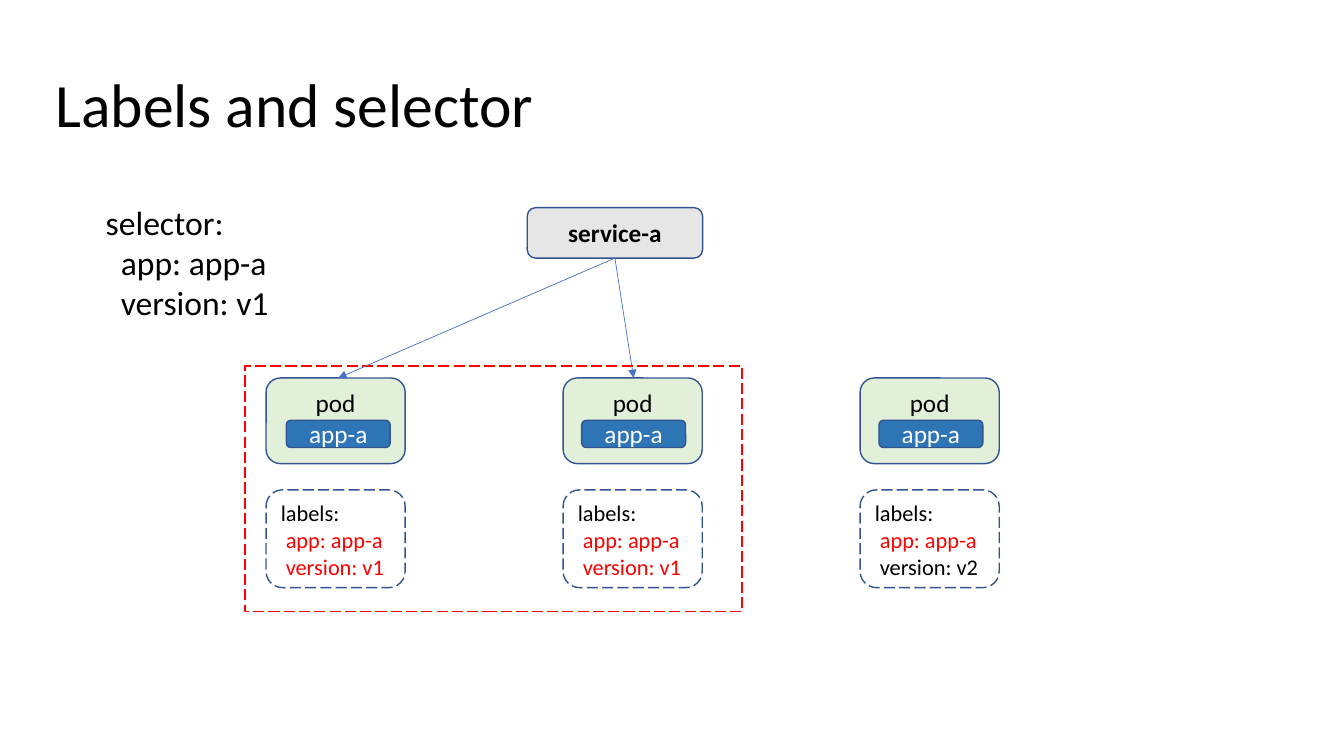
"""Build the slide on how a service selects pods by their labels."""
from dataclasses import dataclass
from typing import Any, Optional

import pptx
import pptx.dml.color
import pptx.enum.dml
import pptx.enum.shapes
import pptx.enum.text
import pptx.util
from lxml import etree

SHAPE = pptx.enum.shapes.MSO_SHAPE
ANCHOR = pptx.enum.text.MSO_ANCHOR
ALIGN = pptx.enum.text.PP_ALIGN
WIDTH = pptx.util.Inches(13.33)
HEIGHT = pptx.util.Inches(7.5)


@dataclass(frozen=True)
class Theme:
    font: str = "Calibri"
    ink: str = "000000"
    paper: str = "FFFFFF"
    match: str = "FF0000"
    outline: str = "325491"
    arrow: str = "4472C4"
    pod: str = "E2F0D9"
    app: str = "2E75B6"
    service: str = "E7E6E6"
    title_size: float = 44
    selector_size: float = 24
    box_size: float = 18
    label_size: float = 16
    outline_width: float = 1
    arrow_width: float = 0.5


@dataclass(frozen=True)
class Area:
    """Position and size in percent of the slide."""
    left: float
    top: float
    width: float
    height: float

    @property
    def center(self) -> float:
        return self.left + self.width / 2

    @property
    def bottom(self) -> float:
        return self.top + self.height

    def emu(self) -> tuple[int, int, int, int]:
        return across(self.left), down(self.top), across(self.width), down(self.height)


@dataclass(frozen=True)
class Line:
    text: str
    size: float
    color: str
    bold: bool = False
    align: Any = ALIGN.LEFT
    indent: float = 0
    spacing: Optional[float] = None


@dataclass(frozen=True)
class Pod:
    version: str
    app_inset: float
    selected: bool


THEME = Theme()
PODS = [Pod("v1", 1.5, True), Pod("v1", 1.38, True), Pod("v2", 1.4, False)]
POD_LEFT, POD_STEP, POD_WIDTH = 19.8, 22.1, 10.35
TITLE = Area(3.38, 8.67, 93.17, 11.2)
SELECTOR = Area(7.13, 26, 18, 17.47)
SELECTION = Area(18.23, 48.4, 36.98, 32.53)
SERVICE = Area(39.23, 27.47, 13.05, 6.67)


def across(percent: float) -> int:
    return round(WIDTH * percent / 100)


def down(percent: float) -> int:
    return round(HEIGHT * percent / 100)


def rgb(color: str) -> pptx.dml.color.RGBColor:
    return pptx.dml.color.RGBColor.from_string(color)


def write(frame: Any, lines: list[Line], anchor: Any) -> None:
    frame.word_wrap = True
    frame.vertical_anchor = anchor
    for position, line in enumerate(lines):
        paragraph = frame.paragraphs[0] if position == 0 else frame.add_paragraph()
        paragraph.text = line.text
        paragraph.alignment = line.align
        paragraph.line_spacing = line.spacing
        paragraph.font.name = THEME.font
        paragraph.font.size = pptx.util.Pt(line.size)
        paragraph.font.bold = line.bold
        paragraph.font.color.rgb = rgb(line.color)
        if line.indent:
            paragraph._p.get_or_add_pPr().set("marL", str(pptx.util.Pt(line.indent)))


def add_text(shapes: Any, area: Area, lines: list[Line], anchor: Any = ANCHOR.TOP) -> None:
    write(shapes.add_textbox(*area.emu()).text_frame, lines, anchor)


def add_box(shapes: Any, area: Area, lines: list[Line], fill: Optional[str] = None,
            anchor: Any = ANCHOR.MIDDLE, preset: Any = SHAPE.ROUNDED_RECTANGLE,
            outline: str = THEME.outline) -> None:
    box = shapes.add_shape(preset, *area.emu())
    box.shadow.inherit = False
    box.line.color.rgb = rgb(outline)
    box.line.width = pptx.util.Pt(THEME.outline_width)
    if fill:
        box.fill.solid()
        box.fill.fore_color.rgb = rgb(fill)
    else:
        box.fill.background()
        box.line.dash_style = pptx.enum.dml.MSO_LINE.LONG_DASH
    write(box.text_frame, lines, anchor)


def add_arrow(shapes: Any, source: Area, target_x: float, target_y: float) -> None:
    arrow = shapes.add_connector(
        pptx.enum.shapes.MSO_CONNECTOR.STRAIGHT,
        across(source.center), down(source.bottom), across(target_x), down(target_y))
    arrow.line.color.rgb = rgb(THEME.arrow)
    arrow.line.width = pptx.util.Pt(THEME.arrow_width)
    namespace = "{http://schemas.openxmlformats.org/drawingml/2006/main}"
    etree.SubElement(arrow.line._get_or_add_ln(), namespace + "tailEnd", type="triangle")
    etree.SubElement(arrow._element.spPr, namespace + "effectLst")


def centered(text: str, color: str, bold: bool = False) -> list[Line]:
    return [Line(text, THEME.box_size, color, bold, ALIGN.CENTER)]


def main() -> None:
    deck = pptx.Presentation()
    deck.slide_width, deck.slide_height = WIDTH, HEIGHT
    shapes = deck.slides.add_slide(deck.slide_layouts[6]).shapes

    add_text(shapes, TITLE, [Line("Labels and selector", THEME.title_size, THEME.ink,
                                  spacing=0.9)], ANCHOR.MIDDLE)

    pod_areas = [Area(POD_LEFT + column * POD_STEP, 50, POD_WIDTH, 11.33)
                 for column in range(len(PODS))]
    app_areas = [Area(area.left + pod.app_inset, 55.6, 7.73, 3.6)
                 for pod, area in zip(PODS, pod_areas)]
    for pod_area, app_area in zip(pod_areas, app_areas):
        members = shapes.add_group_shape().shapes
        add_box(members, pod_area, centered("pod", THEME.ink), THEME.pod, ANCHOR.TOP)
        add_box(members, app_area, centered("app-a", THEME.paper), THEME.app)

    for pod, area in zip(PODS, pod_areas):
        version_color = THEME.match if pod.selected else THEME.ink
        add_box(shapes, Area(area.left, 64.8, POD_WIDTH, 12.93), [
            Line("labels:", THEME.label_size, THEME.ink),
            Line("app: app-a", THEME.label_size, THEME.match, indent=3.6),
            Line(f"version: {pod.version}", THEME.label_size, version_color, indent=3.6),
        ], anchor=ANCHOR.TOP)

    add_text(shapes, SELECTOR, [
        Line("selector:", THEME.selector_size, THEME.ink),
        Line("app: app-a", THEME.selector_size, THEME.ink, indent=10.8),
        Line("version: v1", THEME.selector_size, THEME.ink, indent=10.8),
    ])
    add_box(shapes, SELECTION, [], preset=SHAPE.RECTANGLE, outline=THEME.match)
    add_box(shapes, SERVICE, centered("service-a", THEME.ink, bold=True), THEME.service)

    for pod, pod_area, app_area in zip(PODS, pod_areas, app_areas):
        if pod.selected:
            add_arrow(shapes, SERVICE, app_area.center, pod_area.top)

    deck.save("out.pptx")


if __name__ == "__main__":
    main()
